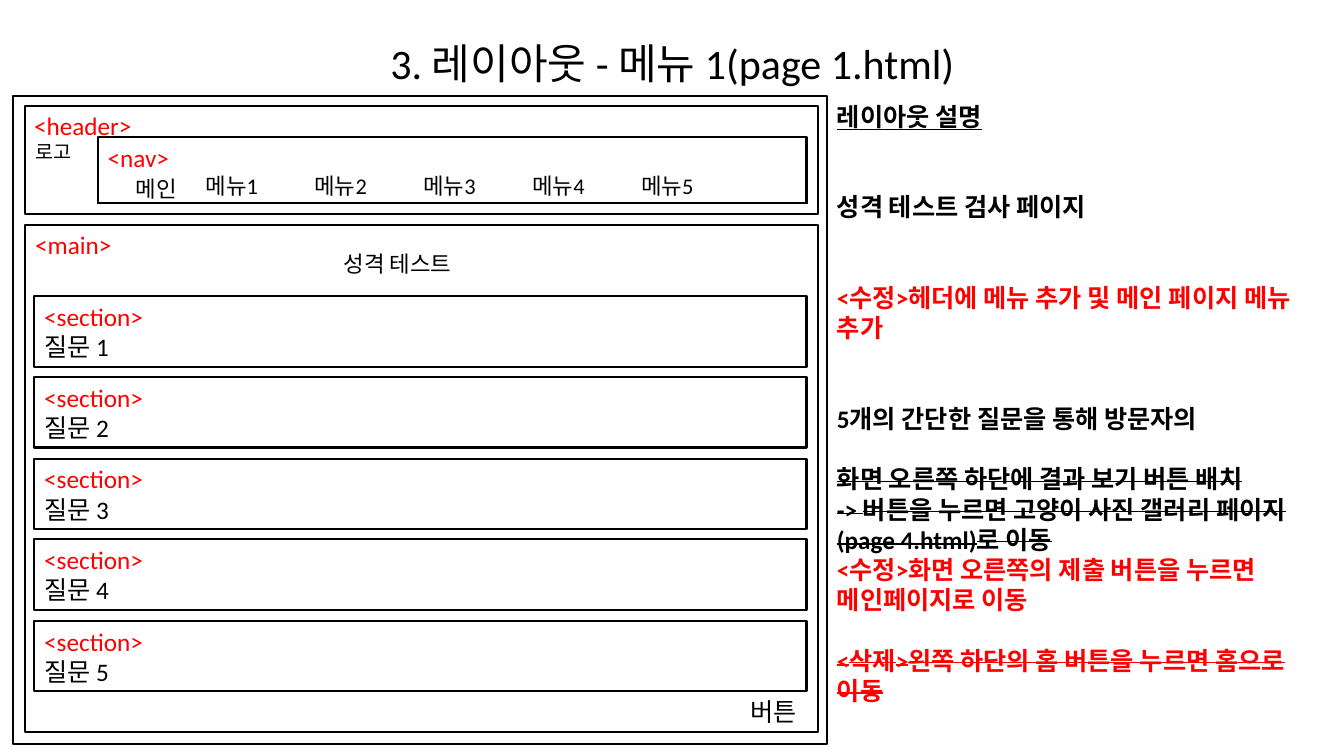
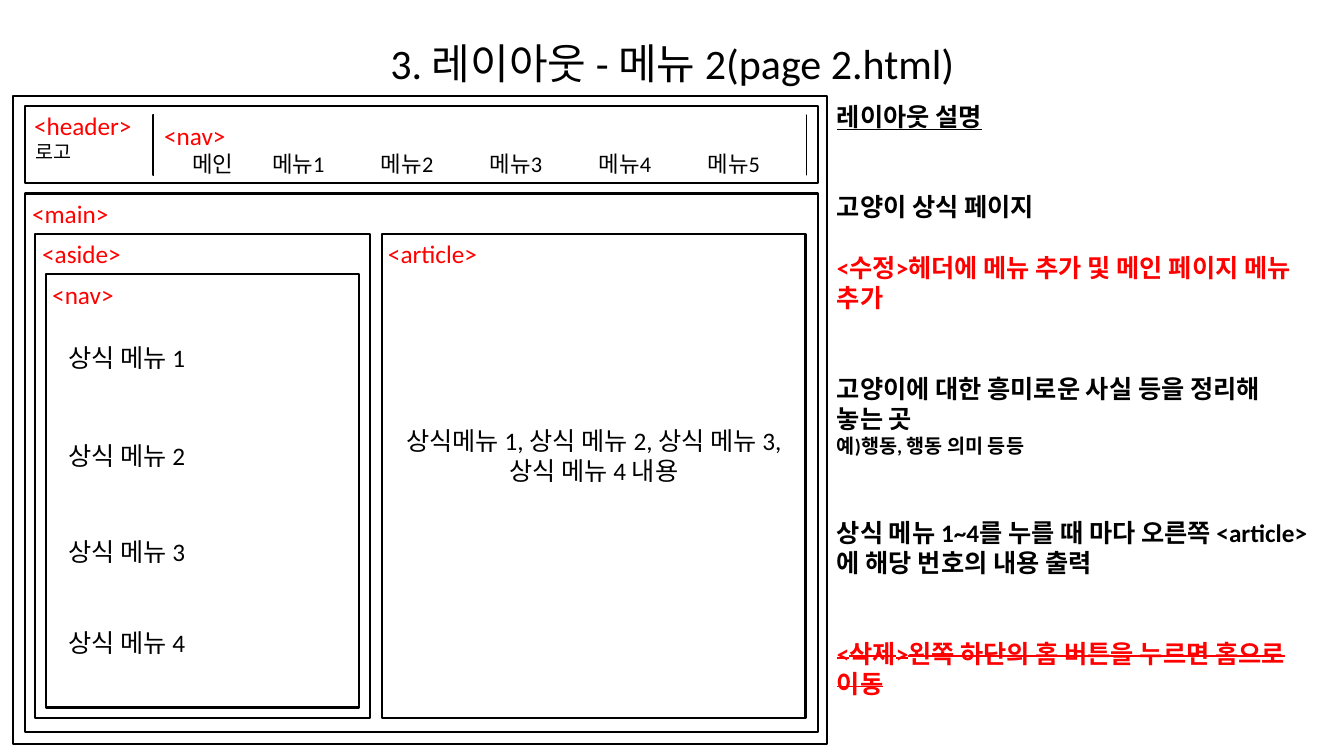
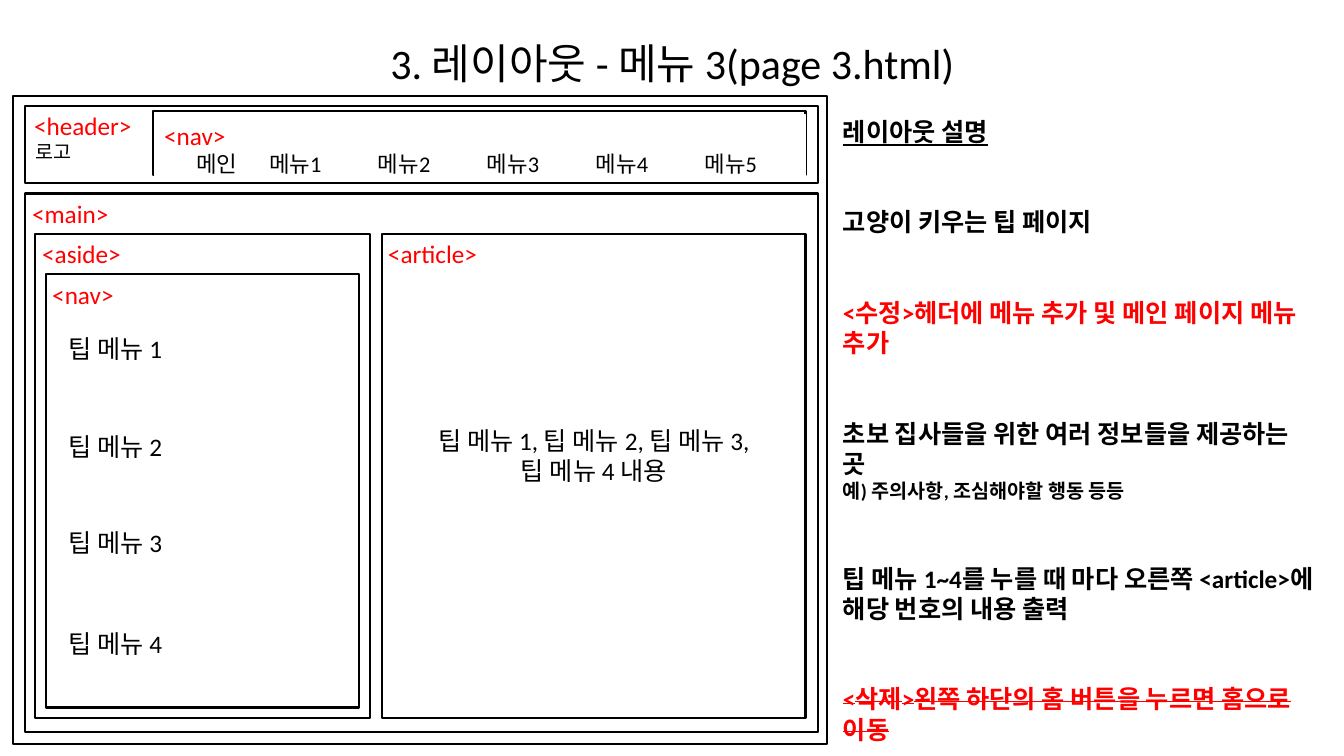
from dataclasses import dataclass

from lxml.etree import SubElement
from pptx import Presentation
from pptx.dml.color import RGBColor
from pptx.enum.shapes import MSO_SHAPE
from pptx.enum.text import MSO_ANCHOR, MSO_AUTO_SIZE, PP_ALIGN
from pptx.oxml.ns import qn
from pptx.util import Emu, Pt


@dataclass(frozen=True)
class Theme:
    ink: RGBColor = RGBColor(0, 0, 0)
    red: RGBColor = RGBColor(255, 0, 0)
    paper: RGBColor = RGBColor(255, 255, 255)
    latin: str = "Calibri"
    hangul: str = "Noto Sans CJK KR"
    title: int = 30
    body: int = 18
    menu: int = 16
    small: int = 14
    thick: float = 1.5
    thin: float = 0.75
    row: float = 21.6


T = Theme()
SCALE = 9144  # 100 px to the inch
MENUS = [f"메뉴{n}" for n in range(1, 6)]
PITCH = 108  # from one menu to the next

# Notes shared by the pages: text, blank rows above, styles
HEAD = ("레이아웃 설명", 0, "under")
ADDED = "<수정>헤더에 메뉴 추가 및 메인 페이지 메뉴 추가"
GONE = "<삭제>왼쪽 하단의 홈 버튼을 누르면 홈으로 이동"


def px(n):
    return Emu(n * SCALE)


def place(item, area):
    item.left, item.top, item.width, item.height = map(px, area)


# Text
def add_run(para, text, size=T.body, color=T.ink, face=T.latin, bold=False):
    run = para.add_run()
    run.text = text
    font = run.font
    font.name, font.size, font.bold = face, Pt(size), bold
    font.color.rgb = color
    return run


def fill_text(frame, lines, align=PP_ALIGN.LEFT):
    """Each line is a text and the settings of its run."""
    frame.word_wrap = True
    frame.vertical_anchor = MSO_ANCHOR.TOP
    for i, (text, style) in enumerate(lines):
        para = frame.add_paragraph() if i else frame.paragraphs[0]
        para.alignment = align
        add_run(para, text, **style)


def label(slide, area, *texts, align=PP_ALIGN.LEFT, **style):
    item = slide.shapes.add_textbox(*map(px, area))
    fill_text(item.text_frame, [(text, style) for text in texts], align)


def tag(slide, left, top, name):
    label(slide, (left, top, 140, 40), f"<{name}>", color=T.red)


def set_tabs(para, stops):
    tabs = SubElement(para._p.get_or_add_pPr(), qn("a:tabLst"))
    for stop in stops:
        SubElement(tabs, qn("a:tab"), pos=str(px(stop)), algn="l")


# Frames
def box(slide, area, lines=(), line=T.ink, width=T.thick, solid=True):
    item = slide.shapes.add_shape(MSO_SHAPE.RECTANGLE, *map(px, area))
    item.shadow.inherit = False
    if solid:
        item.fill.solid()
        item.fill.fore_color.rgb = T.paper
    else:
        item.fill.background()
    item.line.color.rgb = line
    item.line.width = Pt(width)
    if lines:
        fill_text(item.text_frame, lines)
    return item


def nav(slide, area, items, stops, **look):
    menu = "".join("\t" + name for name in items)
    lines = [("<nav>", {"color": T.red}), (menu, {"size": T.menu})]
    item = box(slide, area, lines, width=T.thin, **look)
    set_tabs(item.text_frame.paragraphs[1], stops)


# Description column
def notes(slide, left, top, lines):
    item = slide.placeholders[1]
    place(item, (left, top, 490, 695))
    frame = item.text_frame
    frame.word_wrap = True
    frame.auto_size = MSO_AUTO_SIZE.NONE
    for i, (text, gap, looks) in enumerate(lines):
        para = frame.add_paragraph() if i else frame.paragraphs[0]
        para.space_before = Pt(gap * T.row)
        prop = para._p.get_or_add_pPr()
        prop.set("marL", "0")
        prop.set("indent", "0")
        SubElement(prop, qn("a:buNone"))
        run = add_run(para, text, T.small if "small" in looks else T.body,
                      T.red if "red" in looks else T.ink, bold=True)
        if "under" in looks:
            run.font.underline = True
        if "strike" in looks:
            run.font._element.set("strike", "sngStrike")


# Title, outer frame and header, the same on every page
def page(deck, num, head):
    slide = deck.slides.add_slide(deck.slide_layouts[1])
    title = slide.shapes.title
    place(title, (67, 0, 1200, 125))
    title.text_frame.vertical_anchor = MSO_ANCHOR.MIDDLE
    para = title.text_frame.paragraphs[0]
    para.alignment = PP_ALIGN.CENTER
    add_run(para, f"3. 레이아웃 - 메뉴 {num}(page {num}.html)", T.title)
    box(slide, (13, 95, 807, 643))
    box(slide, (25, 105, 786, head))
    tag(slide, 24, 105, "header")
    label(slide, (25, 134, 73, 39), "로고", size=T.small)
    return slide


def quiz(deck):
    slide = page(deck, 1, 107)
    box(slide, (25, 223, 786, 503))
    tag(slide, 25, 223, "main")
    for i in range(5):
        box(slide, (34, 294 + 161 * i // 2, 766, 70),
            [("<section>", {"color": T.red}), (f"질문 {i + 1}", {})])
    label(slide, (599, 686, 201, 40), "버튼", align=PP_ALIGN.RIGHT)
    box(slide, (97, 136, 703, 65))
    nav(slide, (97, 136, 704, 66), MENUS,
        [97 + PITCH * i for i in range(5)], solid=False)
    label(slide, (331, 243, 140, 40), "성격 테스트", size=T.menu, face=T.hangul)
    label(slide, (125, 169, 104, 37), "메인", size=T.menu, face=T.hangul)
    notes(slide, 820, 95, [
        HEAD,
        ("성격 테스트 검사 페이지", 2, ""),
        (ADDED, 2, "red"),
        ("5개의 간단한 질문을 통해 방문자의", 2, ""),
        ("화면 오른쪽 하단에 결과 보기 버튼 배치", 1, "strike"),
        ("-> 버튼을 누르면 고양이 사진 갤러리 페이지(page 4.html)로 이동",
         0, "strike"),
        ("<수정>화면 오른쪽의 제출 버튼을 누르면 메인페이지로 이동", 0, "red"),
        (GONE, 1, "red strike"),
    ])


def guide(deck, num, word, tops, body, rim, stops, spot, lines):
    """A page with a side menu and an article."""
    slide = page(deck, num, 77)
    box(slide, (25, 192, 786, 534))
    tag(slide, 22, 192, "main")
    box(slide, (35, 232, 332, 480))
    tag(slide, 32, 232, "aside")
    box(slide, (46, 272, 310, 430))
    tag(slide, 42, 272, "nav")
    for i, top in enumerate(tops, 1):
        label(slide, (58, top, 285, 40), f"{word} 메뉴 {i}")
    box(slide, (379, 232, 420, 480))
    tag(slide, 375, 232, "article")
    label(slide, (379, 417, 420, 129), *body, align=PP_ALIGN.CENTER)
    box(slide, (152, rim, 647, 174 - rim))
    first, second = stops
    nav(slide, (153, 114, 646, 65), ["메인", *MENUS],
        [first, *(second + PITCH * i for i in range(5))], line=T.paper)
    notes(slide, *spot, lines)


def main():
    deck = Presentation()
    deck.slide_width, deck.slide_height = px(1333), px(750)
    quiz(deck)
    guide(deck, 2, "상식", (335, 432, 527, 617),
          ["상식메뉴 1, 상식 메뉴 2, 상식 메뉴 3, 상식 메뉴 4 내용"],
          114, (28, 107), (820, 95), [
              HEAD,
              ("고양이 상식 페이지", 2, ""),
              (ADDED, 1, "red"),
              ("고양이에 대한 흥미로운 사실 등을 정리해 놓는 곳", 2, ""),
              ("예)행동, 행동 의미 등등", 0, "small"),
              ("상식 메뉴 1~4를 누를 때 마다 오른쪽 <article>에 해당 번호의 내용 출력",
               2, ""),
              (GONE, 2, "red strike"),
          ])
    guide(deck, 3, "팁", (326, 423, 518, 618),
          ["팁 메뉴 1, 팁 메뉴 2, 팁 메뉴 3,", "팁 메뉴 4 내용"],
          110, (32, 104), (826, 110), [
              HEAD,
              ("고양이 키우는 팁 페이지", 2, ""),
              (ADDED, 2, "red"),
              ("초보 집사들을 위한 여러 정보들을 제공하는 곳", 2, ""),
              ("예) 주의사항, 조심해야할 행동 등등", 0, "small"),
              ("팁 메뉴 1~4를 누를 때 마다 오른쪽 <article>에 해당 번호의 내용 출력",
               2, ""),
              (GONE, 2, "red strike"),
          ])
    deck.save("out.pptx")


if __name__ == "__main__":
    main()
